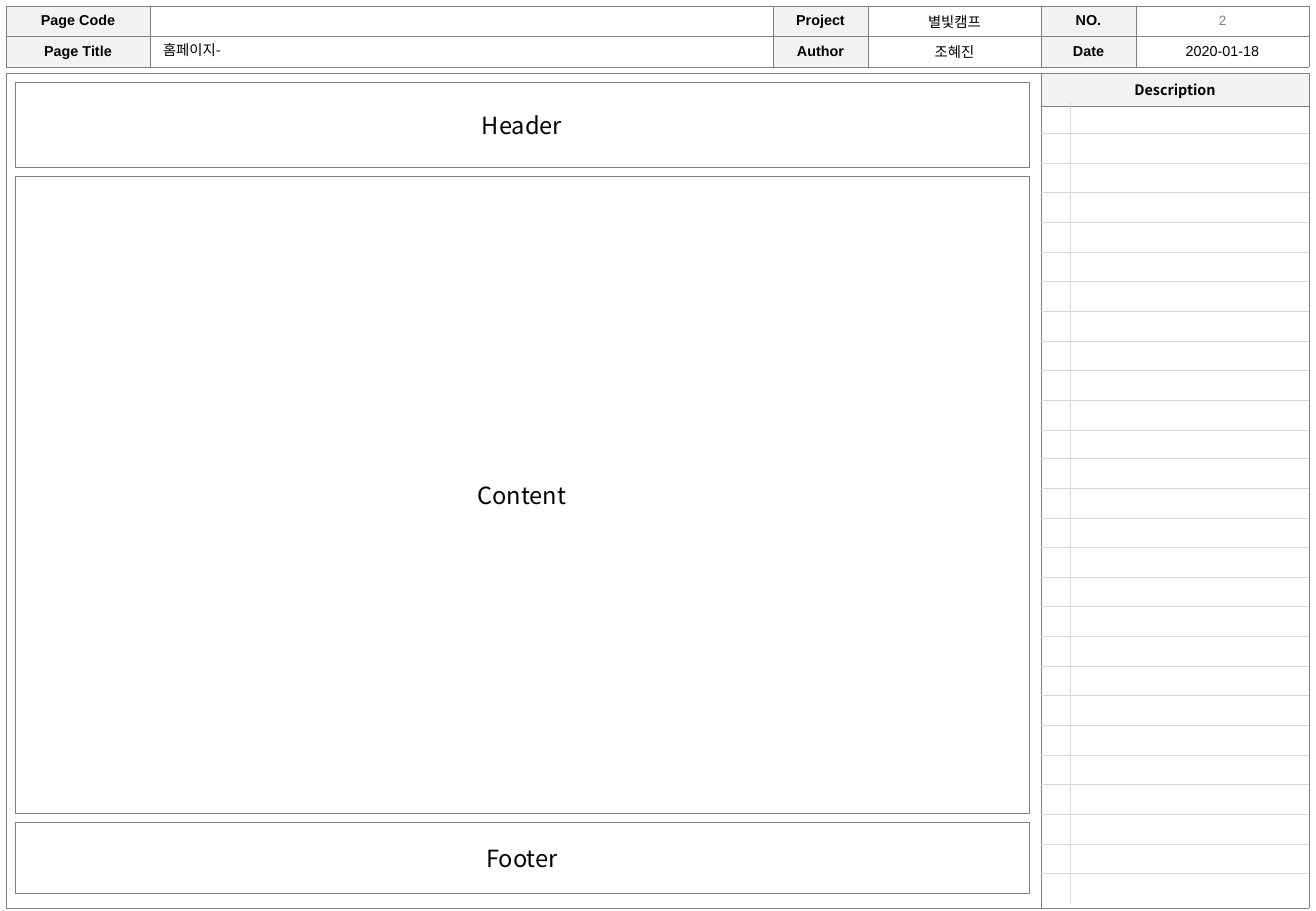
from dataclasses import dataclass
from pptx import Presentation
from pptx.dml.color import RGBColor as RGB
from pptx.enum.shapes import MSO_SHAPE as SHAPE
from pptx.enum.text import MSO_ANCHOR as ANCHOR, MSO_AUTO_SIZE as AUTO, PP_ALIGN as ALIGN
from pptx.oxml import parse_xml
from pptx.oxml.ns import nsdecls, qn
from pptx.util import Emu, Pt

EMU_PER_PX = 914400 / 121.5
NO_STYLE = "{2D5ABB26-0587-4C30-8999-92F81FD0307C}"


def px(n):
    return Emu(round(n * EMU_PER_PX))


@dataclass(frozen=True)
class Theme:
    latin: str = "Arial"
    korean: str = "Noto Sans CJK KR"
    ink: str = "000000"
    muted: str = "7F7F7F"
    border: str = "808080"
    rule: str = "D9D9D9"
    label: str = "F2F2F2"
    paper: str = "FFFFFF"
    small: float = 8
    body: float = 8.5
    area: float = 14


class Sheet:
    def __init__(self, prs, theme):
        self.theme = theme
        self.slide = prs.slides.add_slide(prs.slide_layouts[5])

    def set_text(self, tf, text, size, font, color=None, bold=False, align=ALIGN.CENTER):
        tf.text = text
        p = tf.paragraphs[0]
        p.alignment = align
        for r in p.runs:
            r.font.size, r.font.bold, r.font.name = Pt(size), bold, font
            r.font.color.rgb = RGB.from_string(color or self.theme.ink)
            ea = parse_xml(f'<a:ea {nsdecls("a")} typeface="{self.theme.korean}"/>')
            r._r.rPr.find(qn("a:latin")).addnext(ea)
        if not p.runs:  # keeps empty cells from stretching their row
            p._p.get_or_add_endParaRPr().set("sz", str(round(size * 100)))

    def place(self, s, box):
        s.left, s.top, s.width, s.height = map(px, box)
        tf = s.text_frame
        tf.word_wrap, tf.auto_size, tf.vertical_anchor = True, AUTO.NONE, ANCHOR.TOP
        tf.margin_left = tf.margin_right = px(12)
        tf.margin_top = tf.margin_bottom = px(6)
        return tf

    def title(self, text, *box):
        tf = self.place(self.slide.shapes.title, box)
        self.set_text(tf, text, self.theme.body, self.theme.korean, align=ALIGN.LEFT)

    def number(self, text, *box):
        tf = self.place(self.slide.shapes.add_textbox(*map(px, box)), box)
        self.set_text(tf, text, self.theme.small, self.theme.latin, self.theme.muted)

    def area(self, text, *box):
        s = self.slide.shapes.add_shape(SHAPE.RECTANGLE, *map(px, box))
        s.shadow.inherit = False
        s.fill.solid()
        s.fill.fore_color.rgb = RGB.from_string(self.theme.paper)
        s.line.color.rgb = RGB.from_string(self.theme.border)
        s.line.width = Pt(0.5)
        s.text_frame.vertical_anchor = ANCHOR.MIDDLE
        self.set_text(s.text_frame, text, self.theme.area, self.theme.korean)

    def borders(self, cell, sides, color, width):
        tc_pr = cell._tc.get_or_add_tcPr()
        for side in "LRTB":
            fill = (f'<a:solidFill><a:srgbClr val="{color}"/></a:solidFill>'
                    if side in sides else "<a:noFill/>")
            tc_pr.append(parse_xml(
                f'<a:ln{side} {nsdecls("a")} w="{int(Pt(width))}">{fill}</a:ln{side}>'))

    def table(self, x, y, widths, heights, texts, labels, sides, color, width, font):
        """Draw a table; sides(row, col) names the borders each cell shows."""
        frame = self.slide.shapes.add_table(
            len(heights), len(widths), px(x), px(y), px(sum(widths)), px(sum(heights)))
        tbl = frame.table
        tbl.first_row = tbl.horz_banding = False
        tbl._tbl.tblPr.find(qn("a:tableStyleId")).text = NO_STYLE
        for col, w in zip(tbl.columns, widths):
            col.width = px(w)
        for row, h in zip(tbl.rows, heights):
            row.height = px(h)
        for r, row_texts in enumerate(texts):
            for c, text in enumerate(row_texts):
                cell, is_label = tbl.cell(r, c), text in labels
                cell.margin_left = cell.margin_right = px(5)
                cell.margin_top = cell.margin_bottom = 0
                cell.vertical_anchor = ANCHOR.MIDDLE
                self.borders(cell, sides(r, c), color, width)
                if is_label:
                    cell.fill.solid()
                    cell.fill.fore_color.rgb = RGB.from_string(self.theme.label)
                else:
                    cell.fill.background()
                self.set_text(cell.text_frame, text, self.theme.body, font, bold=is_label)


theme = Theme()
prs = Presentation()
prs.slide_width, prs.slide_height = px(1316), px(911)
sheet = Sheet(prs, theme)

# Page frame with the description column
frame_sides = {(0, 0): "LRT", (1, 0): "LRB"}
sheet.table(6, 73, [1035, 268], [33, 802], [["", "Description"], ["", ""]],
            {"Description"}, lambda r, c: frame_sides.get((r, c), "LRTB"),
            theme.border, 0.25, theme.korean)

# Page information
info = [["Page Code", "", "Project", "별빛캠프", "NO.", ""],
        ["Page Title", "", "Author", "조혜진", "Date", "2020-01-18"]]
info_labels = {text for row in info for text in row[::2]}
sheet.table(6, 6, [144, 623, 95, 173, 95, 173], [30, 31], info, info_labels,
            lambda r, c: "LRTB", theme.border, 0.25, theme.latin)
sheet.number("2", 1136, 6, 173, 30)
sheet.title("홈페이지-", 151, 35, 622, 30)

# Layout areas
for name, top, height in [("Header", 82, 86), ("Content", 176, 638), ("Footer", 822, 72)]:
    sheet.area(name, 15, top, 1014, height)

# Description grid: inner rules only
ROWS = 27
edges = [102] + [133 + round(771 * i / (ROWS - 1)) for i in range(ROWS)]
row_heights = [b - a for a, b in zip(edges, edges[1:])]


def inner_sides(r, c):
    return "RL"[c] + ("T" if r > 0 else "") + ("B" if r < ROWS - 1 else "")


sheet.table(1041, edges[0], [29, 239], row_heights, [["", ""]] * ROWS, set(),
            inner_sides, theme.rule, 0.5, theme.korean)

prs.save("out.pptx")
